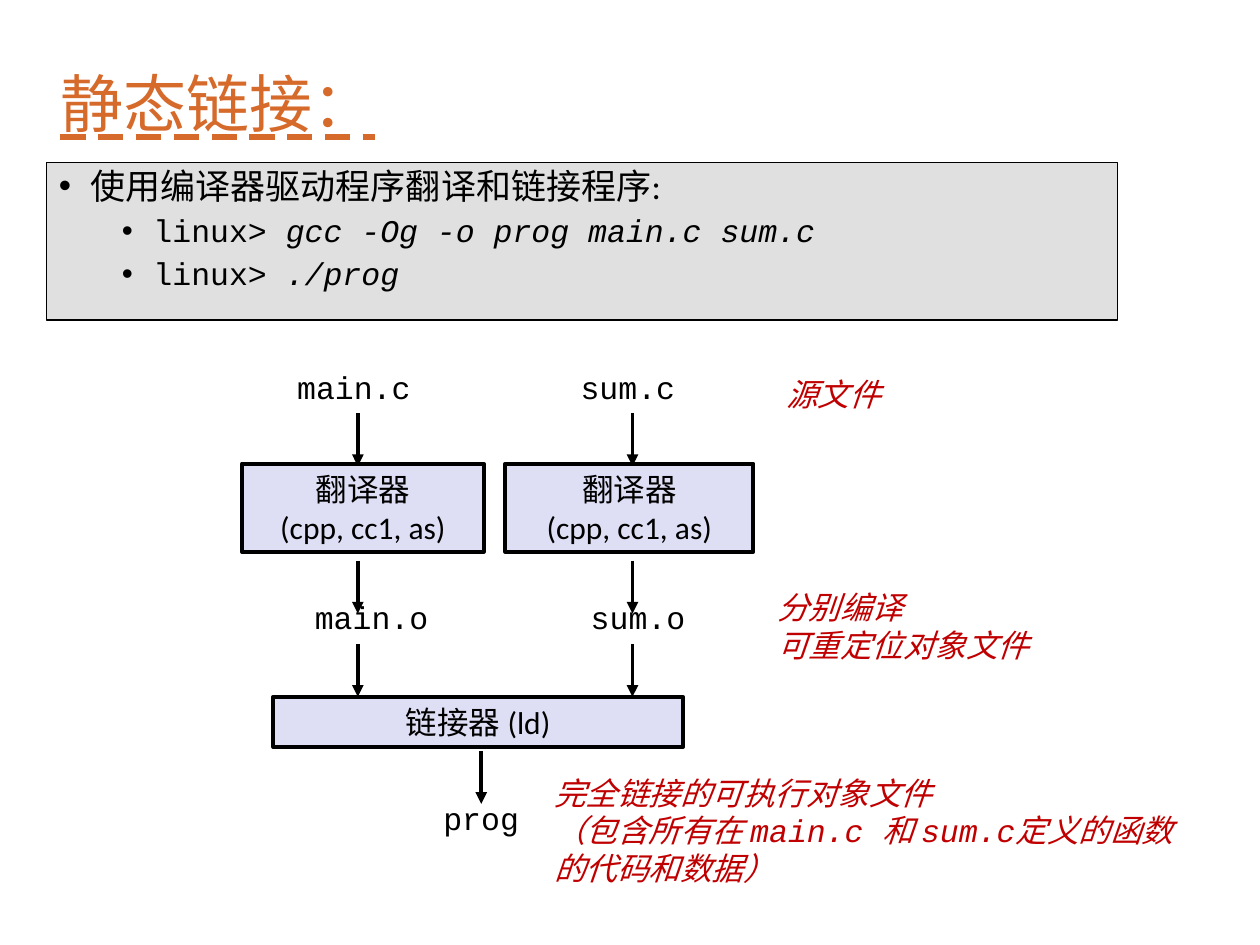
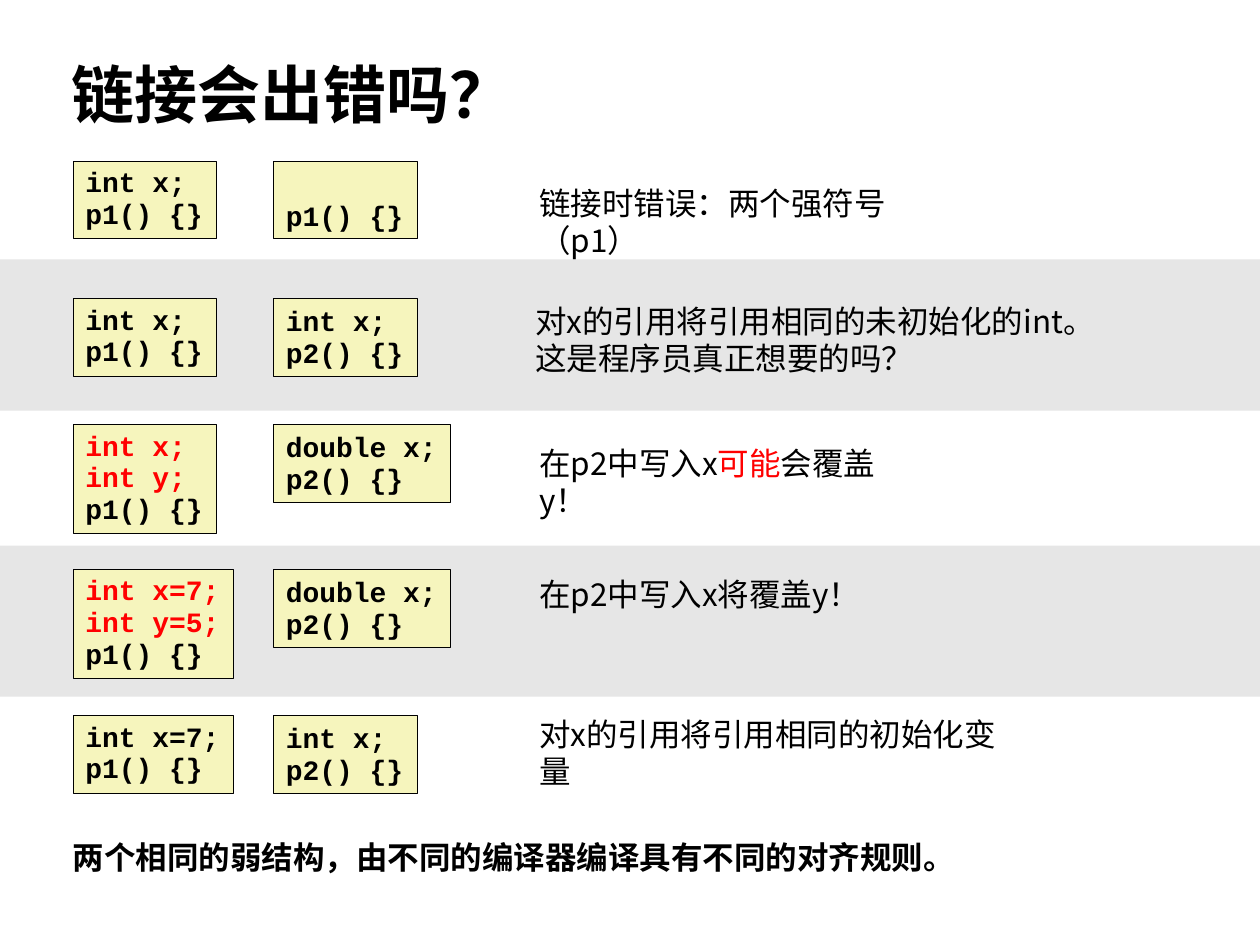
import pptx
import pptx.util
import pptx.dml.color
import pptx.enum.shapes
import pptx.enum.text
import pptx.oxml
import pptx.oxml.ns

Inches, Pt = pptx.util.Inches, pptx.util.Pt
ALIGN = pptx.enum.text.PP_ALIGN
ANCHOR = pptx.enum.text.MSO_ANCHOR
UNDERLINE = pptx.enum.text.MSO_UNDERLINE
RECTANGLE = pptx.enum.shapes.MSO_SHAPE.RECTANGLE

COLORS = {
    "text": "000000", "title": "D66A2B", "note": "C00000", "alert": "FF0000",
    "panel": "E0E0E0", "step": "DEDFF5", "code": "F6F5BD", "band": "E6E6E6",
}
SANS, MONO, CJK = "Calibri", "Courier New", "Noto Sans CJK SC"


def color(name):
    return pptx.dml.color.RGBColor.from_string(COLORS[name])


def add_xml(parent, tag, **attributes):
    child = parent.makeelement(pptx.oxml.ns.qn(tag), attributes)
    parent.append(child)
    return child


def write(frame, paragraphs, size=18, font=SANS, ink="text", bold=False, italic=False,
          underline=None, align=ALIGN.LEFT, spacing=1.0, before=0, bullets=None,
          anchor=ANCHOR.TOP, wrap=True):
    """Each paragraph is a string or a list of (text, overrides) runs."""
    frame.word_wrap = wrap
    frame.vertical_anchor = anchor
    frame.auto_size = pptx.enum.text.MSO_AUTO_SIZE.NONE
    frame.margin_left = frame.margin_right = Inches(0.1)
    frame.margin_top = frame.margin_bottom = Inches(0.05)
    for index, content in enumerate(paragraphs):
        paragraph = frame.paragraphs[0] if index == 0 else frame.add_paragraph()
        paragraph.alignment = align
        paragraph.line_spacing = spacing
        paragraph.space_before = Pt(before if index else 0)
        if bullets:
            properties = paragraph._p.get_or_add_pPr()
            properties.set("marL", str(Inches(bullets[index])))
            properties.set("indent", str(Inches(-0.25)))
            add_xml(properties, "a:buFont", typeface="Arial")
            add_xml(properties, "a:buChar", char="•")
        runs = [(content, {})] if isinstance(content, str) else content
        for text, own in runs:
            run = paragraph.add_run()
            run.text = text
            run.font.size = Pt(own.get("size", size))
            run.font.bold = bold
            run.font.italic = own.get("italic", italic)
            run.font.underline = underline
            run.font.color.rgb = color(own.get("ink", ink))
            run.font.name = own.get("font", font)
            add_xml(run._r.get_or_add_rPr(), "a:ea", typeface=CJK)


class Deck:
    def __init__(self):
        self.presentation = pptx.Presentation()
        self.presentation.slide_width = Inches(10)
        self.presentation.slide_height = Inches(7.5)
        self.slide = None

    def new_slide(self, title, left, top, width, height, **style):
        self.slide = self.presentation.slides.add_slide(self.presentation.slide_layouts[5])
        heading = self.slide.shapes.title
        heading.left, heading.top = Inches(left), Inches(top)
        heading.width, heading.height = Inches(width), Inches(height)
        write(heading.text_frame, [title], size=36, **style)

    def box(self, left, top, width, height, fill, line=None, paragraphs=(), **style):
        shape = self.slide.shapes.add_shape(
            RECTANGLE, Inches(left), Inches(top), Inches(width), Inches(height))
        shape.shadow.inherit = False
        shape.fill.solid()
        shape.fill.fore_color.rgb = color(fill)
        if line:
            shape.line.color.rgb = color("text")
            shape.line.width = Pt(line)
        else:
            shape.line.fill.background()
        write(shape.text_frame, paragraphs, **style)

    def label(self, left, top, width, height, paragraphs, **style):
        frame = self.slide.shapes.add_textbox(
            Inches(left), Inches(top), Inches(width), Inches(height)).text_frame
        write(frame, paragraphs, **style)

    def down_arrow(self, x, top, length=0.42):
        arrow = self.slide.shapes.add_connector(
            pptx.enum.shapes.MSO_CONNECTOR.STRAIGHT,
            Inches(x), Inches(top), Inches(x), Inches(top + length))
        arrow.line.color.rgb = color("text")
        arrow.line.width = Pt(2.25)
        add_xml(arrow.line._get_or_add_ln(), "a:tailEnd", type="triangle")
        add_xml(arrow._element.spPr, "a:effectLst")

    def step(self, left, top, width, height, paragraphs):
        self.box(left, top, width, height, "step", 2.25, paragraphs, align=ALIGN.CENTER)

    def file_name(self, left, top, width, name):
        self.label(left, top, width, 0.4, [name], font=MONO, wrap=False)

    def note(self, left, top, width, height, paragraphs, wrap=False):
        self.label(left, top, width, height, paragraphs, ink="note", italic=True, wrap=wrap)

    def code(self, left, top, lines, anchor=ANCHOR.TOP):
        longest = max(len(line if isinstance(line, str) else line[0][0]) for line in lines)
        width = 0.2 + longest * 0.134
        height = 0.12 + max(len(lines), 2) * 0.247
        self.box(left, top, width, height, "code", 0.25, lines, size=16, font=MONO,
                 bold=True, spacing=0.94, anchor=anchor, wrap=False)


def static_linking(deck):
    deck.new_slide("静态链接：", 0.38, 0.35, 2.78, 0.82, font=CJK, ink="title",
                   underline=UNDERLINE.DASH_HEAVY_LINE, spacing=0.9, anchor=ANCHOR.BOTTOM)

    # Commands
    def command(text):
        return [("linux> ", {}), (text, {"italic": True})]

    deck.box(0.37, 1.29, 8.5, 1.25, "panel", 0.75,
             [[("使用编译器驱动程序翻译和链接程序:", {"size": 20, "font": SANS})],
              command("gcc -Og -o prog main.c sum.c"), command("./prog")],
             font=MONO, spacing=0.9, before=5, bullets=[0.25, 0.75, 0.75])

    # Arrows of the two source columns, then the one to the program
    for x in (2.84, 5.02):
        for top in (3.28, 4.45, 5.11):
            deck.down_arrow(x, top)
    deck.down_arrow(3.82, 5.96)

    # Translators and linker
    for left, width in ((1.92, 1.92), (4.01, 1.97)):
        deck.step(left, 3.68, width, 0.7, ["翻译器", "(cpp, cc1, as)"])
    deck.step(2.17, 5.53, 3.25, 0.4, ["链接器 (ld)"])

    # Files
    for left, top, width, name in (
            (2.26, 2.87, 1.11, "main.c"), (4.51, 2.87, 0.96, "sum.c"),
            (2.4, 4.7, 1.11, "main.o"), (4.59, 4.7, 0.96, "sum.o"),
            (3.42, 6.29, 0.81, "prog")):
        deck.file_name(left, top, width, name)

    # Notes
    deck.note(6.14, 2.93, 0.95, 0.4, ["源文件"])
    deck.note(6.07, 4.62, 2.2, 0.71, ["分别编译", "可重定位对象文件"])
    deck.note(4.3, 6.09, 5.29, 1.31,
              ["完全链接的可执行对象文件",
               [("（包含所有在 ", {}), ("main.c 和 sum.c定义的", {"font": MONO}),
                ("函数的代码和数据）", {})]], wrap=True)


def linking_errors(deck):
    deck.new_slide("链接会出错吗？", 0.47, 0.31, 9.53, 0.86, bold=True, anchor=ANCHOR.MIDDLE)

    # Bands behind every second case
    for top in (2.06, 4.33):
        deck.box(0, top, 10, 1.2, "band")

    # Cases: top of the code, two modules, place of the remark, remark
    def red(text):
        return [(text, {"ink": "alert"})]

    p1, p2 = "p1() {}", "p2() {}"
    cases = [
        (1.28, ["int x;", p1], [p1], (4.18, 1.43, 3.7), ["链接时错误：两个强符号（p1）"]),
        (2.37, ["int x;", p1], ["int x;", p2], (4.15, 2.36, 4.82),
         ["对x的引用将引用相同的未初始化的int。", "这是程序员真正想要的吗？"]),
        (3.37, [red("int x;"), red("int y;"), p1], ["double x;", p2], (4.18, 3.49, 3.23),
         [[("在p2中写入x", {}), ("可能", {"ink": "alert"}), ("会覆盖y！", {})]]),
        (4.52, [red("int x=7;"), red("int y=5;"), p1], ["double x;", p2],
         (4.18, 4.53, 2.75), ["在p2中写入x将覆盖y！"]),
        (5.68, ["int x=7;", p1], ["int x;", p2], (4.18, 5.64, 4.07),
         ["对x的引用将引用相同的初始化变量"]),
    ]
    for top, first_module, second_module, place, remark in cases:
        deck.code(0.58, top, first_module)
        deck.code(2.17, top, second_module, anchor=ANCHOR.BOTTOM)
        deck.label(*place, 0.4 * len(remark), remark, font=CJK, spacing=0.98)

    # Conclusion
    deck.label(0.48, 6.62, 9.26, 0.4,
               ["两个相同的弱结构，由不同的编译器编译具有不同的对齐规则。"],
               bold=True, spacing=0.98)


def main():
    deck = Deck()
    static_linking(deck)
    linking_errors(deck)
    deck.presentation.save("out.pptx")


if __name__ == "__main__":
    main()
